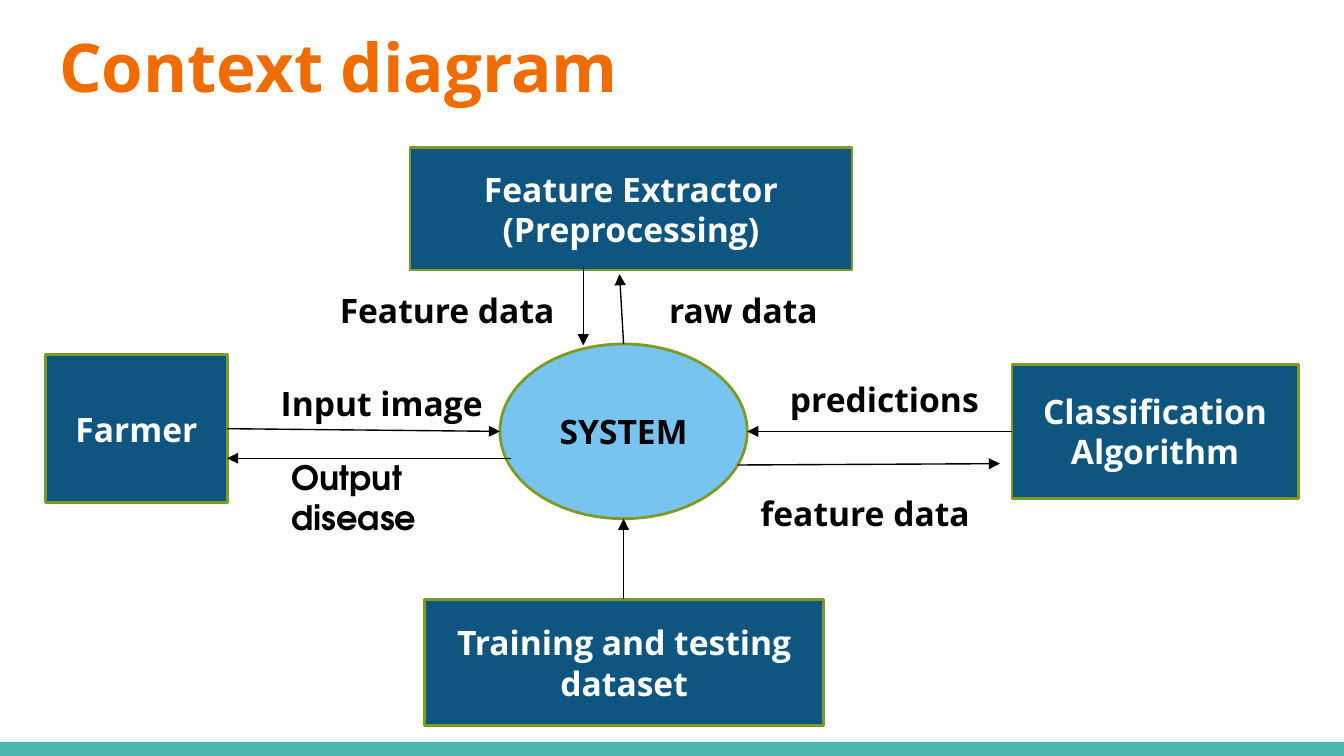
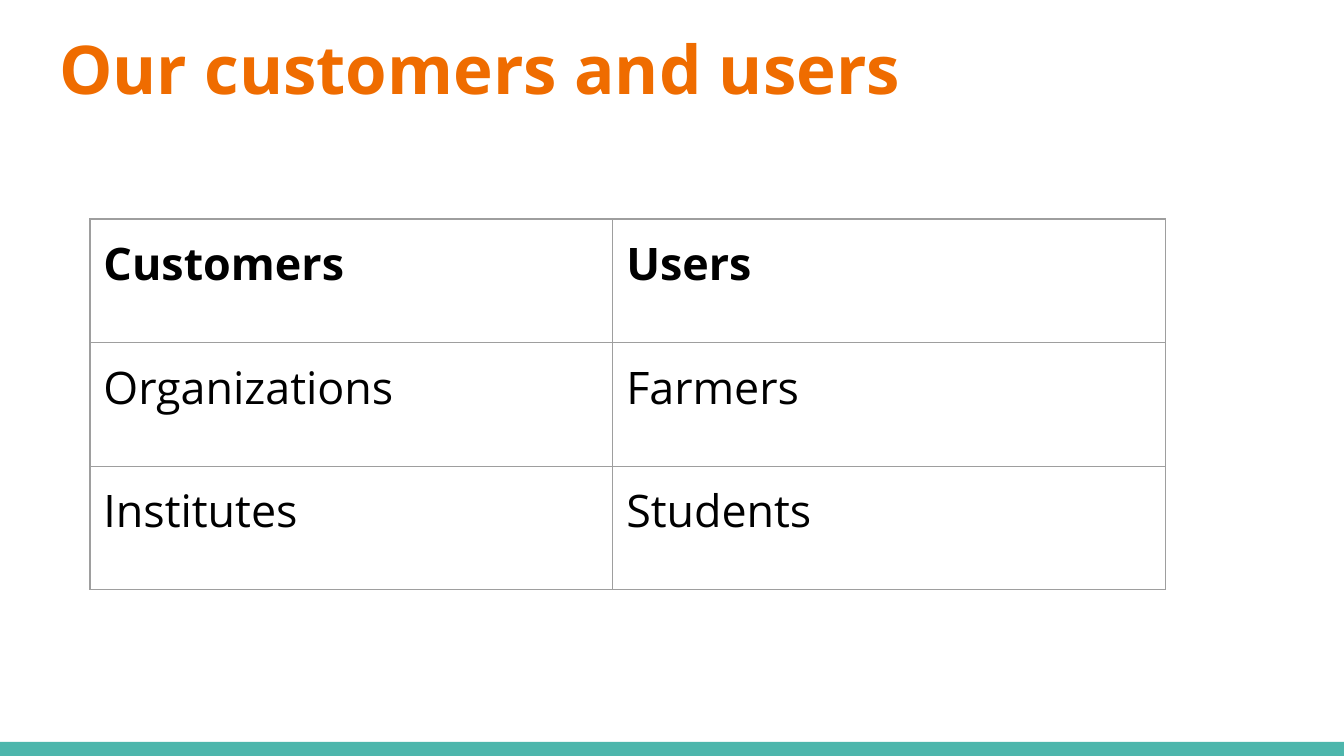
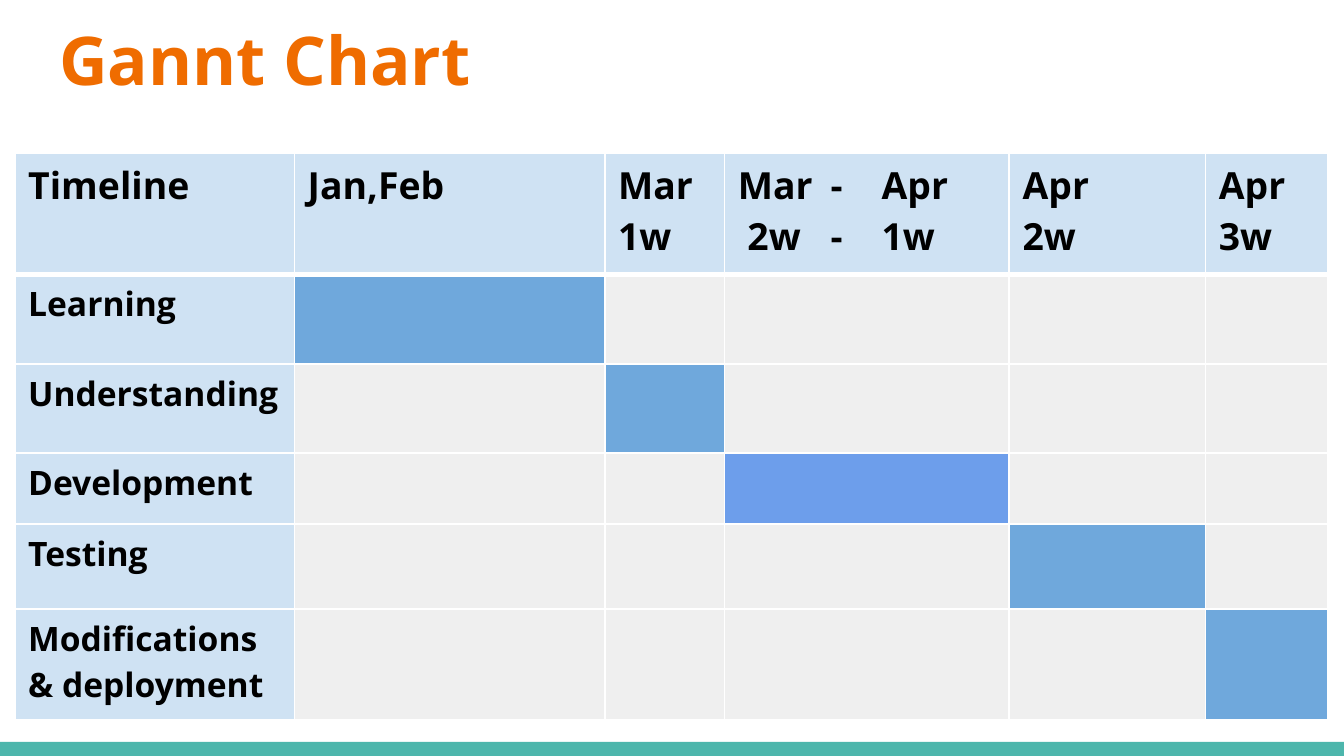
from lxml import etree
from pptx import Presentation
from pptx.dml.color import RGBColor
from pptx.enum.shapes import MSO_CONNECTOR, MSO_SHAPE
from pptx.enum.text import MSO_ANCHOR, MSO_AUTO_SIZE, PP_ALIGN
from pptx.oxml.ns import qn
from pptx.util import Inches, Pt

RECT, OVAL = MSO_SHAPE.RECTANGLE, MSO_SHAPE.OVAL
LINE = MSO_CONNECTOR.STRAIGHT
TOP, MIDDLE = MSO_ANCHOR.TOP, MSO_ANCHOR.MIDDLE
LEFT, CENTER = PP_ALIGN.LEFT, PP_ALIGN.CENTER
GROW = MSO_AUTO_SIZE.SHAPE_TO_FIT_TEXT

TEAL, ORANGE, NAVY, SKY, OLIVE = "4DB6AC", "EF6C00", "0E5580", "78C4F1", "7D9A25"
BLACK, WHITE, GRAY = "000000", "FFFFFF", "9E9E9E"
PALE, BLANK, BLUE, VIOLET = "CFE2F3", "EFEFEF", "6FA8DC", "6D9EEB"


def color(code):
    return RGBColor.from_string(code)


def write(frame, text, size=18, ink=BLACK, bold=True, font="Open Sans",
          align=LEFT, space=None, tabs=()):
    frame.word_wrap = True
    frame.text = text
    for para in frame.paragraphs:
        para.alignment = align
        para.line_spacing = space
        if tabs:
            stops = etree.SubElement(para._p.get_or_add_pPr(), qn("a:tabLst"))
            for stop in tabs:
                etree.SubElement(stops, qn("a:tab"), pos=str(Inches(stop)), algn="l")
        for run in para.runs:
            run.font.name, run.font.size, run.font.bold = font, Pt(size), bold
            run.font.color.rgb = color(ink)


def inset(item, side, end):
    item.margin_left = item.margin_right = Inches(side)
    item.margin_top = item.margin_bottom = Inches(end)


def edge(cell, sides):
    props = cell._tc.get_or_add_tcPr()
    for spot, (side, (ink, width)) in enumerate(sides.items()):
        line = etree.Element(qn(f"a:ln{side}"), w=str(Pt(width)))
        fill = etree.SubElement(line, qn("a:solidFill"))
        etree.SubElement(fill, qn("a:srgbClr"), val=ink)
        props.insert(spot, line)


class Deck:
    """Holds the shared style and the current slide."""

    def __init__(self):
        self.prs = Presentation()
        self.prs.slide_width = Inches(10)
        self.prs.slide_height = Inches(10) * 9 // 16
        self.slide = None

    def start(self, title, top):
        first = self.slide is None
        self.slide = self.prs.slides.add_slide(self.prs.slide_layouts[5])
        if first:
            band = self.box(0, 5.52, 10, 0.11, TEAL)
            self.prs.slide_master.shapes._spTree.append(band._element)
        head = self.slide.shapes.title
        head.left, head.top = Inches(0.34), Inches(top)
        head.width, head.height = Inches(9.32), Inches(0.77)
        frame = head.text_frame
        frame.auto_size, frame.vertical_anchor = GROW, TOP
        inset(frame, 0.1, 0.1)
        write(frame, title, size=36, ink=ORANGE, space=0.95)

    def box(self, x, y, w, h, fill, text="", ink=WHITE, kind=RECT, rim=None):
        shape = self.slide.shapes.add_shape(
            kind, Inches(x), Inches(y), Inches(w), Inches(h))
        shape.shadow.inherit = False
        shape.fill.solid()
        shape.fill.fore_color.rgb = color(fill)
        if rim:
            shape.line.color.rgb, shape.line.width = color(rim), Pt(1.5)
        else:
            shape.line.fill.background()
        if text:
            shape.text_frame.vertical_anchor = MIDDLE
            write(shape.text_frame, text, ink=ink, align=CENTER, space=Pt(21.6))
        return shape

    def label(self, x, y, w, text, **style):
        area = self.slide.shapes.add_textbox(
            Inches(x), Inches(y), Inches(w), Inches(0.37))
        write(area.text_frame, text, **style)

    def arrow(self, *ends):
        link = self.slide.shapes.add_connector(LINE, *map(Inches, ends))
        link.line.color.rgb, link.line.width = color(BLACK), Pt(0.75)
        etree.SubElement(link.line._get_or_add_ln(), qn("a:tailEnd"), type="triangle")
        etree.SubElement(link._element.spPr, qn("a:effectLst"))

    def table(self, x, y, cols, rows):
        grid = self.slide.shapes.add_table(
            len(rows), len(cols), Inches(x), Inches(y),
            Inches(sum(cols)), Inches(sum(rows))).table
        grid.first_row = grid.horz_banding = False
        for col, width in zip(grid.columns, cols):
            col.width = Inches(width)
        for row, height in zip(grid.rows, rows):
            row.height = Inches(height)
        return grid

    def cell(self, cell, text, sides, fill=None, pad=0.05, **style):
        inset(cell, 0.1, pad)
        if fill:
            cell.fill.solid()
            cell.fill.fore_color.rgb = color(fill)
        else:
            cell.fill.background()
        edge(cell, sides)
        if text:
            write(cell.text_frame, text, **style)


def context(deck):
    deck.start("Context diagram", 0.13)
    deck.box(3.72, 2.56, 1.84, 1.3, SKY, "SYSTEM", BLACK, OVAL, OLIVE)
    for place, text in (
        ((7.53, 2.71, 2.13, 1), "Classification\nAlgorithm"),
        ((3.05, 1.1, 3.29, 0.91), "Feature Extractor\n(Preprocessing)"),
        ((0.34, 2.64, 1.35, 1.1), "Farmer"),
        ((3.16, 4.46, 2.97, 0.94), "Training and testing dataset"),
    ):
        deck.box(*place, NAVY, text, rim=OLIVE)
    for ends in (
        (1.69, 3.19, 3.72, 3.21), (7.53, 3.21, 5.56, 3.21),
        (4.34, 1.99, 4.34, 2.57), (4.64, 4.46, 4.64, 3.86),
        (5.49, 3.46, 7.44, 3.45), (3.8, 3.41, 1.69, 3.41),
        (4.64, 2.56, 4.61, 2.04),
    ):
        deck.arrow(*ends)
    for x, y, w, text in (
        (1.99, 2.8, 1.96, "Input image"), (5.78, 2.77, 1.8, "predictions"),
        (5.56, 3.62, 1.87, "feature data"), (4.88, 2.11, 1.79, "raw data"),
        (2.43, 2.11, 1.87, "Feature data"),
    ):
        deck.label(x, y, w, text)
    deck.label(2.07, 3.35, 1.8, "Output disease", font="TeX Gyre Adventor")


def users(deck):
    deck.start("Our customers and users", 0.15)
    grid = deck.table(0.67, 1.63, (3.89, 4.11), (0.92,) * 3)
    sides = dict.fromkeys("LRTB", (GRAY, 0.75))
    words = (("Customers", "Users"), ("Organizations", "Farmers"),
             ("Institutes", "Students"))
    for r, row in enumerate(words):
        for c, text in enumerate(row):
            deck.cell(grid.cell(r, c), text, sides, pad=0.1, size=24, bold=r == 0)


def gantt(deck):
    deck.start("Gannt Chart", 0.08)
    grid = deck.table(0.11, 1.14, (2.08, 2.31, 0.89, 2.12, 1.46, 0.91),
                      (0.9, 0.67, 0.66, 0.53, 0.63, 0.83))
    thin, thick = (WHITE, 0.96), (WHITE, 3)
    heads = ("Timeline", "Jan,Feb", "Mar\n1w", "Mar\t-\tApr\n 2w\t-\t1w",
             "Apr\n2w", "Apr\n3w")
    tasks = ("Learning", "Understanding", "Development", "Testing",
             "Modifications & deployment")
    sides = dict.fromkeys("LRTB", thin)
    for c, text in enumerate(heads):
        tabs = (0.69, 1.07) if "\t" in text else ()
        deck.cell(grid.cell(0, c), text, {**sides, "B": thick}, PALE,
                  size=20, tabs=tabs)
    for r, task in enumerate(tasks, 1):
        rims = {**sides, "T": thick} if r == 1 else sides
        deck.cell(grid.cell(r, 0), task, rims, PALE)
        done = VIOLET if task == "Development" else BLUE
        for c in range(1, len(heads)):
            deck.cell(grid.cell(r, c), "", rims, done if c == r else BLANK)


def main():
    deck = Deck()
    context(deck)
    users(deck)
    gantt(deck)
    deck.prs.save("out.pptx")


if __name__ == "__main__":
    main()
